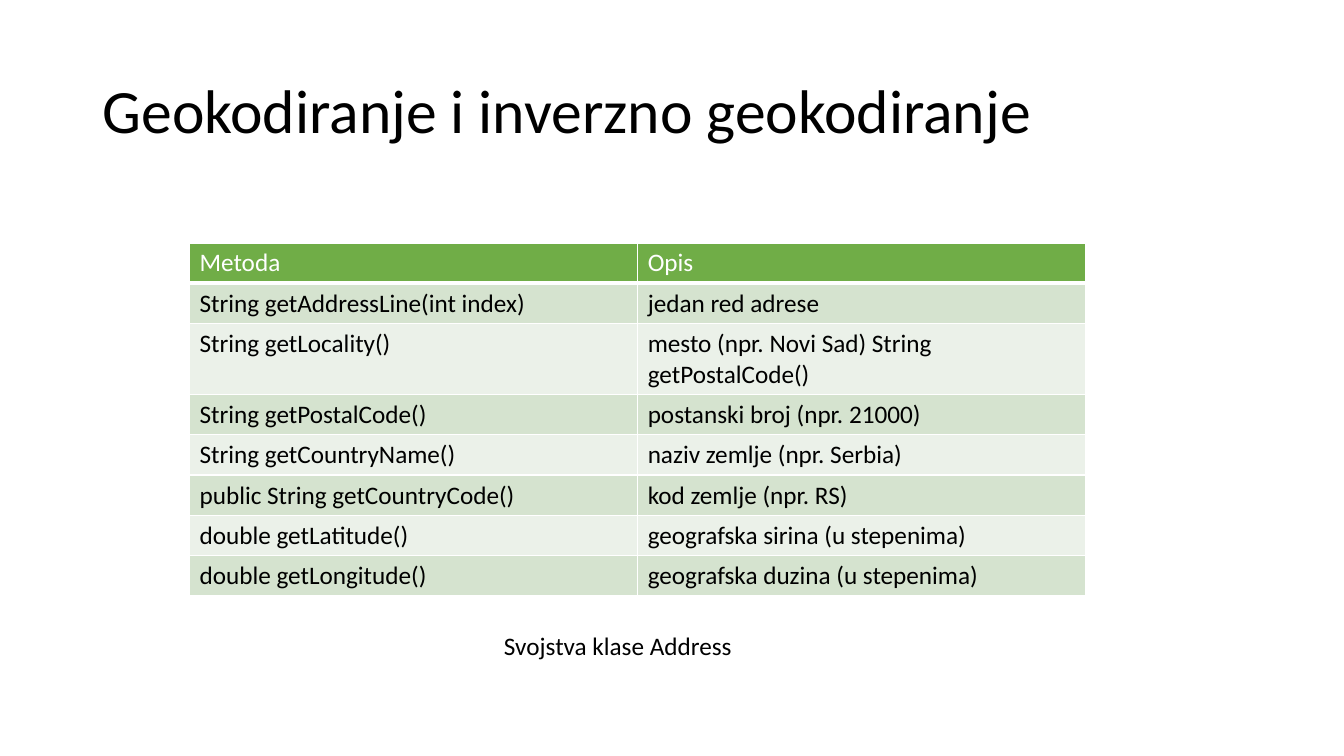
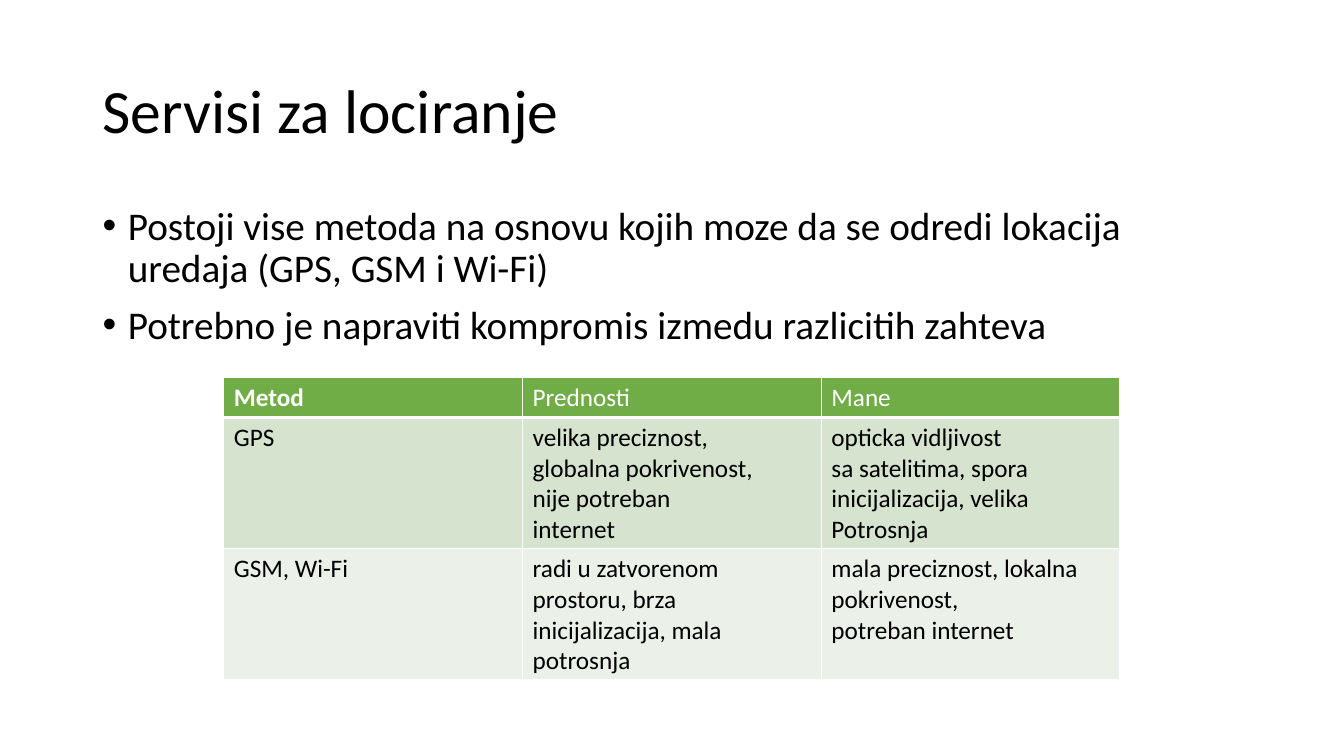
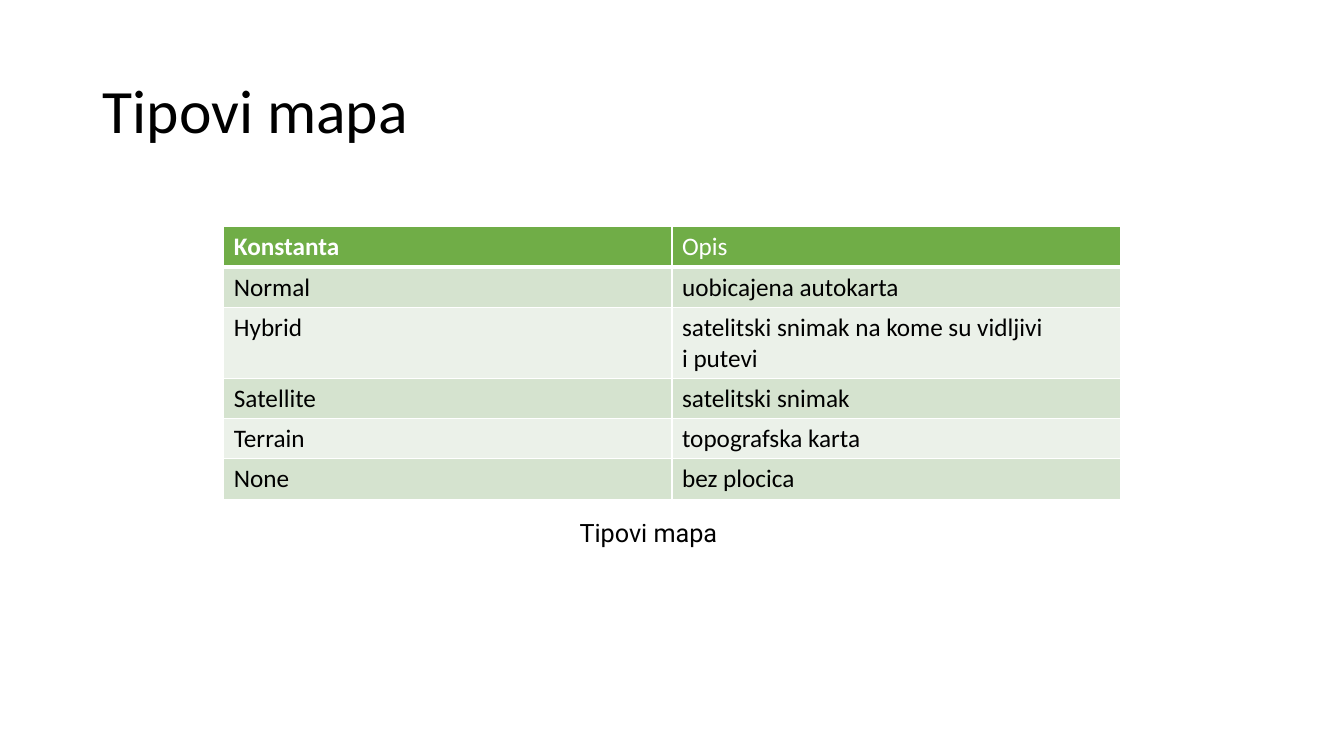
import pptx
import pptx.util
import pptx.dml.color
import pptx.enum.text
import pptx.oxml
import pptx.oxml.ns
import lxml.etree

Inches = pptx.util.Inches
Pt = pptx.util.Pt
RGB = pptx.dml.color.RGBColor
qn = pptx.oxml.ns.qn

BLACK = RGB(0x00, 0x00, 0x00)
WHITE = RGB(0xFF, 0xFF, 0xFF)
GREEN = RGB(0x70, 0xAD, 0x47)
BANDS = (RGB(0xEB, 0xF1, 0xE9), RGB(0xD5, 0xE3, 0xCF))
FONT = "Calibri"
TITLE = (0.92, 0.4, 11.5, 1.45)
BODY = (0.92, 2, 11.5, 4.76)
WIDE = 8.89
ROW = 0.4


def write(para, text, size, color=BLACK, font=FONT, bold=False):
    run = para.add_run()
    run.text = text
    run.font.size = Pt(size)
    run.font.name = font
    run.font.bold = bold
    run.font.color.rgb = color


def fill_lines(frame, lines, size, **style):
    for i, line in enumerate(lines):
        para = frame.add_paragraph() if i else frame.paragraphs[0]
        write(para, line, size, **style)


def add_box(slide, box, wrap=True):
    frame = slide.shapes.add_textbox(*map(Inches, box)).text_frame
    frame.word_wrap = wrap
    return frame


def add_title(slide, text):
    frame = add_box(slide, TITLE)
    frame.vertical_anchor = pptx.enum.text.MSO_ANCHOR.MIDDLE
    fill_lines(frame, [text], 44)
    frame.paragraphs[0].line_spacing = 0.9


def add_points(slide, box, points):
    frame = add_box(slide, box)
    fill_lines(frame, points, 28)
    for para in frame.paragraphs:
        para.line_spacing = 0.9
        para.space_before = Pt(10)
        props = para._p.get_or_add_pPr()
        props.set("marL", str(Inches(0.25)))
        props.set("indent", str(Inches(-0.25)))
        lxml.etree.SubElement(props, qn("a:buFont")).set("typeface", "Arial")
        lxml.etree.SubElement(props, qn("a:buChar")).set("char", "•")


def add_label(slide, box, text, font=FONT):
    frame = add_box(slide, box, wrap=False)
    frame.auto_size = pptx.enum.text.MSO_AUTO_SIZE.SHAPE_TO_FIT_TEXT
    fill_lines(frame, [text], 18, font=font)


def add_edges(cell, top, base):
    props = cell._tc.get_or_add_tcPr()
    for side, width in (("L", 1), ("R", 1), ("T", top), ("B", base)):
        line = lxml.etree.SubElement(props, qn("a:ln" + side))
        line.set("w", str(Pt(width)))
        solid = lxml.etree.SubElement(line, qn("a:solidFill"))
        lxml.etree.SubElement(solid, qn("a:srgbClr")).set("val", str(WHITE))


def add_grid(slide, left, top, rows, bold=False):
    count = len(rows[0])
    table = slide.shapes.add_table(
        len(rows), count, Inches(left), Inches(top),
        Inches(WIDE), Inches(ROW * len(rows))).table
    for col in table.columns:
        col.width = Inches(WIDE / count)
    for r, row in enumerate(rows):
        table.rows[r].height = Inches(ROW)
        for c, text in enumerate(row):
            cell = table.cell(r, c)
            add_edges(cell, 3 if r == 1 else 1, 1 if r else 3)
            cell.fill.solid()
            cell.fill.fore_color.rgb = BANDS[r % 2] if r else GREEN
            fill_lines(cell.text_frame, text.split("\n"), 18,
                       color=BLACK if r else WHITE,
                       bold=bold and r == 0 and c == 0)


def add_slide(deck, title):
    slide = deck.slides.add_slide(deck.slide_layouts[6])
    add_title(slide, title)
    return slide


def geo_slide(deck):
    slide = add_slide(deck, "Geokodiranje i inverzno geokodiranje")
    add_label(slide, (4.9, 6.2, 2.48, 0.4), "Svojstva klase Address")
    add_grid(slide, 1.88, 2.41, [
        ("Metoda", "Opis"),
        ("String getAddressLine(int index)", "jedan red adrese"),
        ("String getLocality()",
         "mesto (npr. Novi Sad) String getPostalCode()"),
        ("String getPostalCode()", "postanski broj (npr. 21000)"),
        ("String getCountryName()", "naziv zemlje (npr. Serbia)"),
        ("public String getCountryCode()", "kod zemlje (npr. RS)"),
        ("double getLatitude()", "geografska sirina (u stepenima)"),
        ("double getLongitude()", "geografska duzina (u stepenima)"),
    ])


def locate_slide(deck):
    slide = add_slide(deck, "Servisi za lociranje")
    add_points(slide, BODY, [
        "Postoji vise metoda na osnovu kojih moze da se odredi lokacija "
        "uredaja (GPS, GSM i Wi-Fi)",
        "Potrebno je napraviti kompromis izmedu razlicitih zahteva",
    ])
    add_grid(slide, 2.22, 3.74, [
        ("Metod", "Prednosti", "Mane"),
        ("GPS",
         "velika preciznost,\nglobalna pokrivenost,\n"
         "nije potreban\ninternet",
         "opticka vidljivost\nsa satelitima, spora\n"
         "inicijalizacija, velika\nPotrosnja"),
        ("GSM, Wi-Fi",
         "radi u zatvorenom\n"
         "prostoru, brza inicijalizacija, mala potrosnja",
         "mala preciznost, lokalna\npokrivenost,\npotreban internet"),
    ], bold=True)


def map_slide(deck):
    slide = add_slide(deck, "Tipovi mapa")
    add_label(slide, (5.65, 5.08, 1.57, 0.4), "Tipovi mapa", "Roboto")
    add_grid(slide, 2.22, 2.25, [
        ("Konstanta", "Opis"),
        ("Normal", "uobicajena autokarta"),
        ("Hybrid", "satelitski snimak na kome su vidljivi\ni putevi"),
        ("Satellite", "satelitski snimak"),
        ("Terrain", "topografska karta"),
        ("None", "bez plocica"),
    ], bold=True)


def main():
    deck = pptx.Presentation()
    deck.slide_width = Inches(13.33)
    deck.slide_height = Inches(7.5)
    geo_slide(deck)
    locate_slide(deck)
    map_slide(deck)
    deck.save("out.pptx")


if __name__ == "__main__":
    main()
